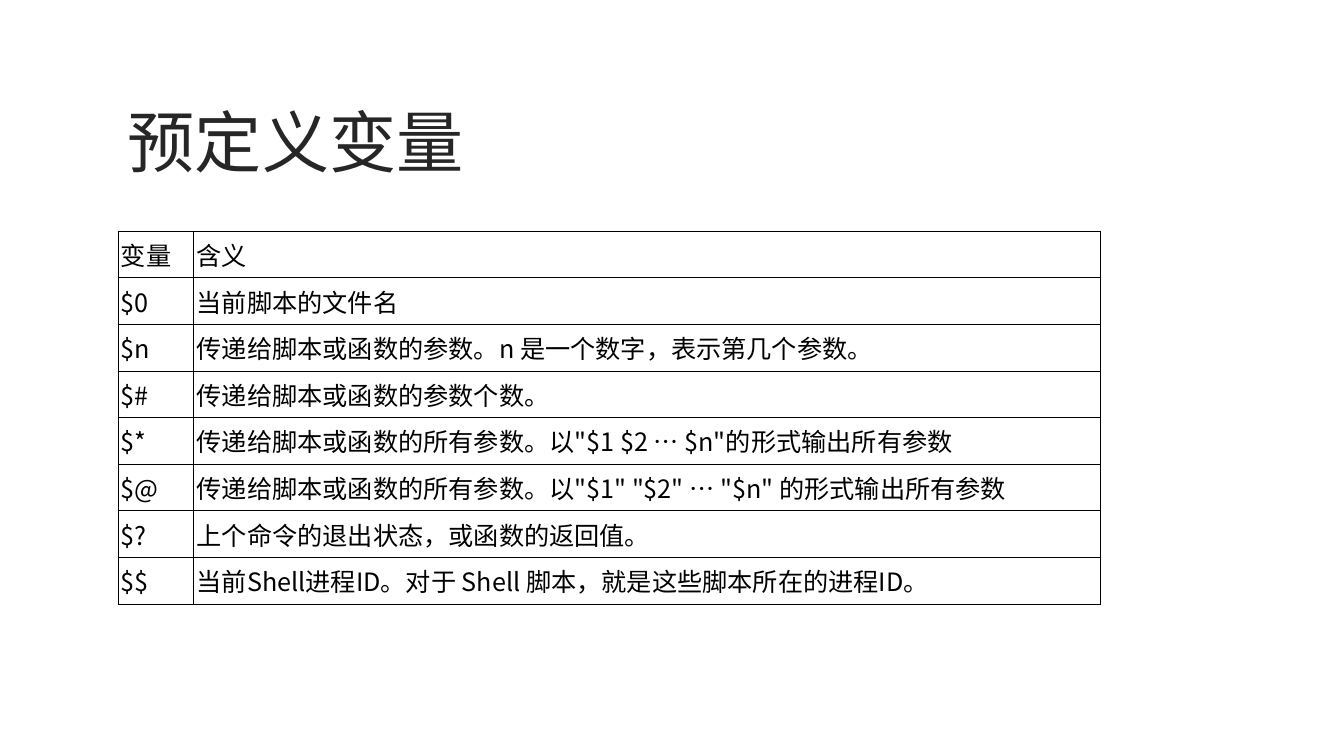
import pptx
import pptx.dml.color
import pptx.enum.text
import pptx.oxml.ns
import pptx.util
from lxml import etree

Cm, Pt = pptx.util.Cm, pptx.util.Pt
qn = pptx.oxml.ns.qn
MIDDLE = pptx.enum.text.MSO_ANCHOR.MIDDLE
FONT = "Noto Sans CJK SC"

VARIABLES = [
    ("变量", "含义"),
    ("$0", "当前脚本的文件名"),
    ("$n", "传递给脚本或函数的参数。n 是一个数字，表示第几个参数。"),
    ("$#", "传递给脚本或函数的参数个数。"),
    ("$*", '传递给脚本或函数的所有参数。以"$1 $2 … $n"的形式输出所有参数'),
    ("$@", '传递给脚本或函数的所有参数。以"$1" "$2" … "$n" 的形式输出所有参数'),
    ("$?", "上个命令的退出状态，或函数的返回值。"),
    ("$$", "当前Shell进程ID。对于 Shell 脚本，就是这些脚本所在的进程ID。"),
]


def rgb(color):
    return pptx.dml.color.RGBColor.from_string(color)


def write(p, text, size, color):
    p.text = text
    p.font.size = Pt(size)
    p.font.color.rgb = rgb(color)
    p.font.name = FONT
    # East Asian characters take their own typeface
    rpr = p._p.pPr.find(qn("a:defRPr"))
    etree.SubElement(rpr, qn("a:ea"), typeface=FONT)


def add_borders(cell, color, width):
    tcpr = cell._tc.get_or_add_tcPr()
    for side in ("L", "R", "T", "B"):
        ln = etree.SubElement(tcpr, qn(f"a:ln{side}"), w=str(Pt(width)))
        fill = etree.SubElement(ln, qn("a:solidFill"))
        etree.SubElement(fill, qn("a:srgbClr"), val=color)


def add_title(s, text, left, top, width, height):
    tf = s.shapes.add_textbox(left, top, width, height).text_frame
    tf.word_wrap = True
    tf.vertical_anchor = MIDDLE
    p = tf.paragraphs[0]
    write(p, text, 48, "262626")
    p.line_spacing = 0.9


def add_variable_table(s, rows, left, top, width, height):
    table = s.shapes.add_table(len(rows), 2, left, top, width, height).table
    table.first_row = table.horz_banding = False
    table.columns[0].width = Cm(1.91)
    table.columns[1].width = width - Cm(1.91)
    for i, row in enumerate(rows):
        for j, text in enumerate(row):
            cell = table.cell(i, j)
            cell.margin_left = cell.margin_right = Cm(0.08)
            cell.margin_top = cell.margin_bottom = Cm(0.13)
            cell.vertical_anchor = MIDDLE
            add_borders(cell, "000000", 0.45)
            cell.fill.solid()
            cell.fill.fore_color.rgb = rgb("FFFFFF")
            write(cell.text_frame.paragraphs[0], text, 18, "000000")


def main():
    prs = pptx.Presentation()
    prs.slide_width, prs.slide_height = Cm(33.88), Cm(19.05)
    s = prs.slides.add_slide(prs.slide_layouts[6])
    left = Cm(2.97)
    add_title(s, "预定义变量", left, Cm(1.78), Cm(27.94), Cm(3.81))
    add_variable_table(s, VARIABLES, left, Cm(5.82), Cm(24.77), Cm(9.4))
    prs.save("out.pptx")


if __name__ == "__main__":
    main()
